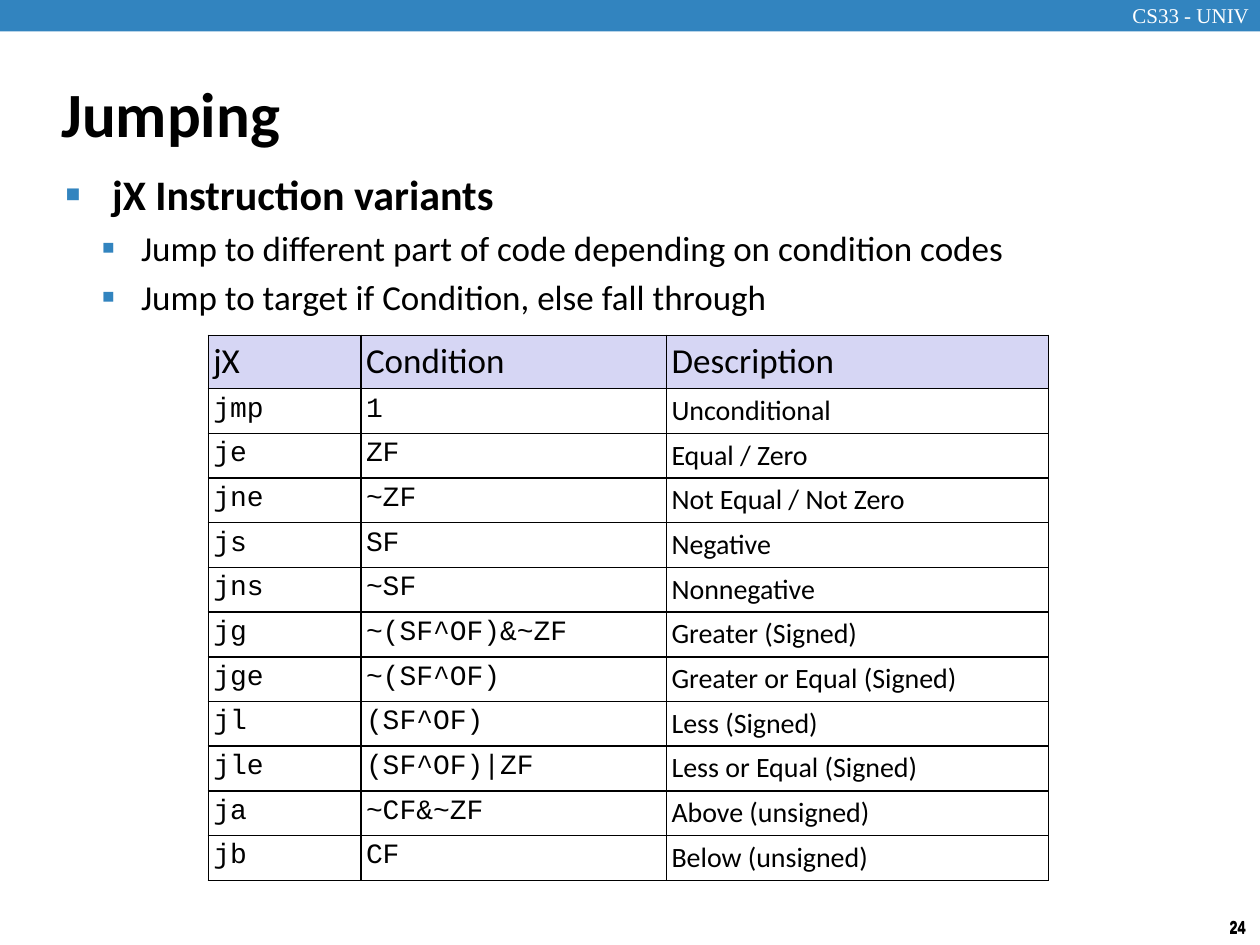
from dataclasses import dataclass

from lxml import etree
from pptx import Presentation
from pptx.dml.color import RGBColor
from pptx.enum.shapes import MSO_SHAPE
from pptx.enum.text import MSO_ANCHOR, PP_ALIGN
from pptx.oxml.ns import qn
from pptx.util import Pt

RECT = MSO_SHAPE.RECTANGLE
MIDDLE = MSO_ANCHOR.MIDDLE
CENTER = PP_ALIGN.CENTER


@dataclass(frozen=True)
class Theme:
    blue: str = "3284BF"
    lilac: str = "D6D6F4"
    black: str = "000000"
    white: str = "FFFFFF"
    sans: str = "Calibri"
    mono: str = "Courier New"
    serif: str = "Times New Roman"
    narrow: str = "Arial Narrow"
    title: int = 36
    head: int = 24
    body: int = 20
    cell: int = 16
    label: int = 12
    page: int = 10


T = Theme()


def add_run(para, text, size, font=T.sans, color=T.black, bold=False):
    run = para.add_run()
    run.text = text
    run.font.size = Pt(size)
    run.font.name = font
    run.font.bold = bold
    run.font.color.rgb = RGBColor.from_string(color)


def add_box(left, top, width, height, wrap=True):
    frame = slide.shapes.add_textbox(Pt(left), Pt(top), Pt(width), Pt(height)).text_frame
    frame.word_wrap = wrap
    return frame


prs = Presentation()
prs.slide_width, prs.slide_height = Pt(720), Pt(540)
slide = prs.slides.add_slide(prs.slide_layouts[6])

# Top band with course label
band = slide.shapes.add_shape(RECT, Pt(0), Pt(0), Pt(720), Pt(18))
band.shadow.inherit = False
band.fill.solid()
band.fill.fore_color.rgb = RGBColor.from_string(T.blue)
band.line.fill.background()
para = add_box(635.8, -2.2, 89.3, 21.6).paragraphs[0]
para.alignment = CENTER
add_run(para, "CS33 - UNIV", T.label, T.serif, T.white)

# Page number, doubled to look heavier
for top in (520.6, 519.8):
    para = add_box(695, top, 24.5, 19.4, wrap=False).paragraphs[0]
    para.alignment = CENTER
    add_run(para, "24", T.page, T.narrow, bold=True)

# Title
frame = add_box(28, 34, 598, 60)
frame.vertical_anchor = MIDDLE
add_run(frame.paragraphs[0], "Jumping", T.title, bold=True)

# Bullets: text, level, size, left margin, hang
points = [
    ("jX Instruction variants", 0, T.head, 27, 27),
    ("Jump to different part of code depending on condition codes",
     1, T.body, 43.5, 22.5),
    ("Jump to target if Condition, else fall through", 1, T.body, 43.5, 22.5),
]
frame = add_box(30, 93, 660, 94)
for i, (text, level, size, margin, hang) in enumerate(points):
    para = frame.add_paragraph() if i else frame.paragraphs[0]
    para.level = level
    para.space_before = Pt(size * 0.2)
    add_run(para, text, size, bold=level == 0)
    props = para._p.get_or_add_pPr()
    props.set("marL", str(Pt(margin)))
    props.set("indent", str(Pt(-hang)))
    tint = etree.SubElement(props, qn("a:buClr"))
    etree.SubElement(tint, qn("a:srgbClr"), val=T.blue)
    etree.SubElement(props, qn("a:buSzPct"), val="110000")
    etree.SubElement(props, qn("a:buFont"), typeface=T.sans)
    etree.SubElement(props, qn("a:buChar"), char="▪")

# Table of jumps
rows = [
    ("jX", "Condition", "Description"),
    ("jmp", "1", "Unconditional"),
    ("je", "ZF", "Equal / Zero"),
    ("jne", "~ZF", "Not Equal / Not Zero"),
    ("js", "SF", "Negative"),
    ("jns", "~SF", "Nonnegative"),
    ("jg", "~(SF^OF)&~ZF", "Greater (Signed)"),
    ("jge", "~(SF^OF)", "Greater or Equal (Signed)"),
    ("jl", "(SF^OF)", "Less (Signed)"),
    ("jle", "(SF^OF)|ZF", "Less or Equal (Signed)"),
    ("ja", "~CF&~ZF", "Above (unsigned)"),
    ("jb", "CF", "Below (unsigned)"),
]
widths = (87.3, 174.6, 218.2)
top_row, row_high = 30.4, 25.55
high = top_row + row_high * (len(rows) - 1)
table = slide.shapes.add_table(
    len(rows), len(widths), Pt(119), Pt(191.7), Pt(sum(widths)), Pt(high)).table
for col, width in zip(table.columns, widths):
    col.width = Pt(width)

for r, row in enumerate(rows):
    table.rows[r].height = Pt(row_high if r else top_row)
    for c, text in enumerate(row):
        cell = table.cell(r, c)
        cell.margin_left = cell.margin_right = Pt(2.9)
        cell.margin_top = cell.margin_bottom = Pt(2.9)
        font = T.mono if r and c < 2 else T.sans
        add_run(cell.text_frame.paragraphs[0], text, T.cell if r else T.body, font)
        props = cell._tc.get_or_add_tcPr()
        for side in ("a:lnL", "a:lnR", "a:lnT", "a:lnB"):
            line = etree.SubElement(props, qn(side), w=str(Pt(1)))
            ink = etree.SubElement(line, qn("a:solidFill"))
            etree.SubElement(ink, qn("a:srgbClr"), val=T.black)
        if r:
            cell.fill.background()
        else:
            cell.fill.solid()
            cell.fill.fore_color.rgb = RGBColor.from_string(T.lilac)

prs.save("out.pptx")
